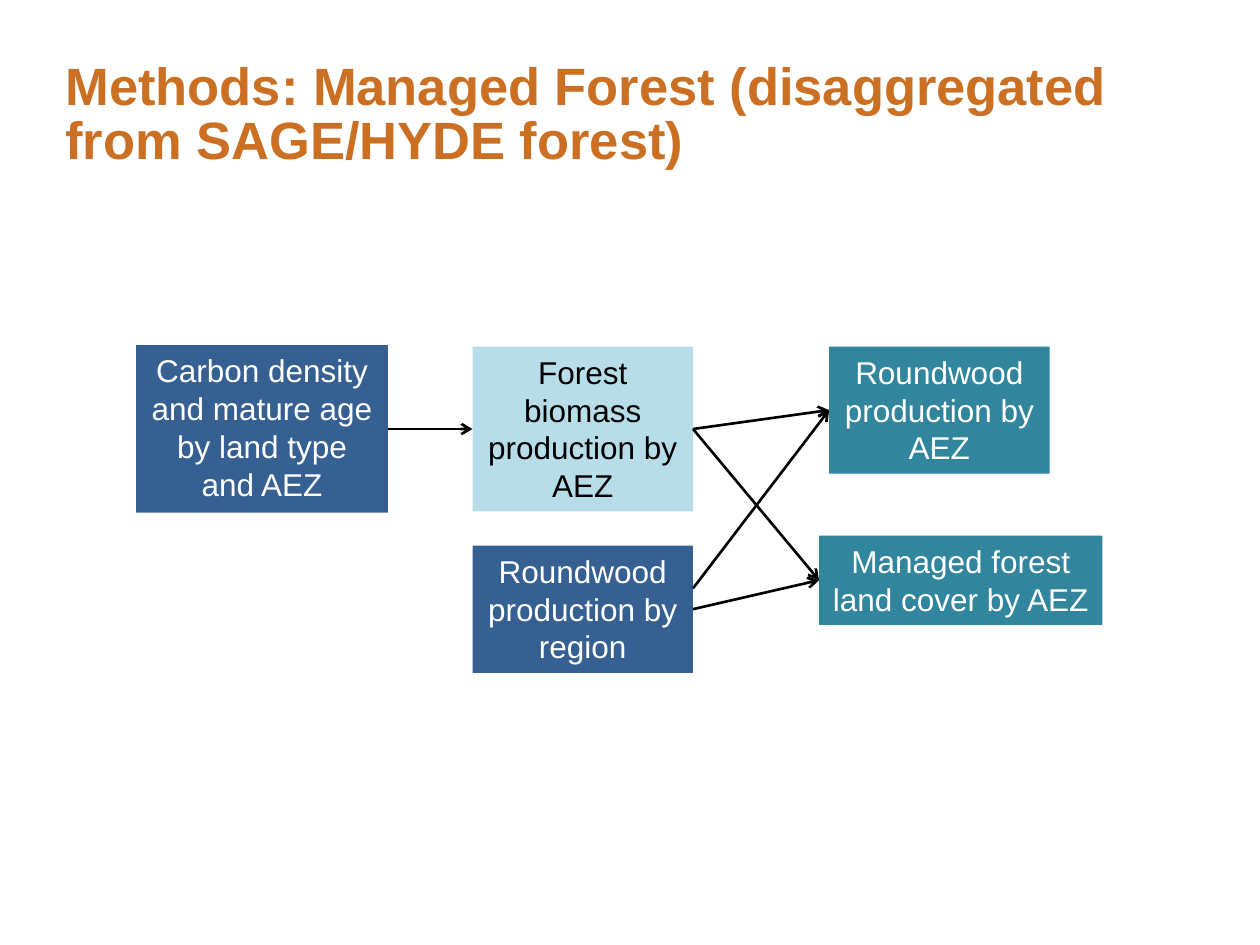
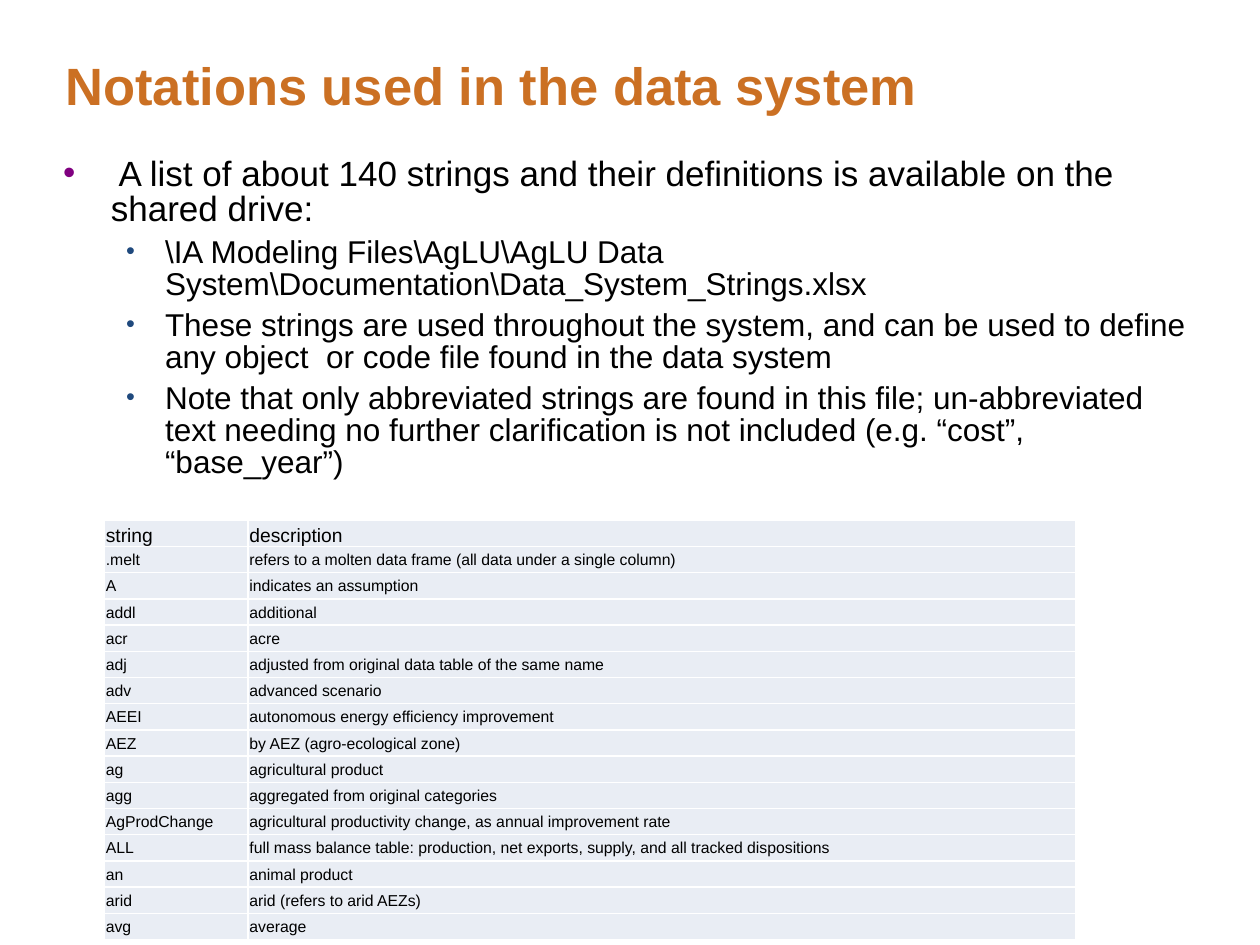
from typing import NamedTuple, Optional

from lxml import etree
from pptx import Presentation
from pptx import util as u
from pptx.dml.color import RGBColor
from pptx.enum import shapes, text
from pptx.oxml import ns

FONT = "Arial"
COLORS = {
    "title": "CB7023",
    "black": "000000",
    "white": "FFFFFF",
    "input": "376092",
    "interim": "B7DEE8",
    "output": "31859C",
    "cell": "E9EDF4",
    "bullet": "800080",
    "sub_bullet": "1F497D",
}
LEFT, RIGHT = 1, 3


class FlowBox(NamedTuple):
    label: str
    left: float
    top: float
    width: float
    height: float
    fill: str
    ink: str = "white"


class Arrow(NamedTuple):
    """Runs from the right side of one box to the left side of another."""
    source: str
    target: str
    start_y: Optional[float] = None


class BulletStyle(NamedTuple):
    size: float
    margin: float
    hanging: float
    color: str
    scale: int


FLOW_BOXES = {
    "carbon": FlowBox("Carbon density and mature age by land type and AEZ",
                      1.08, 2.74, 2, 1.33, "input"),
    "biomass": FlowBox("Forest biomass production by AEZ",
                       3.75, 2.75, 1.75, 1.31, "interim", "black"),
    "region": FlowBox("Roundwood production by region",
                      3.75, 4.33, 1.75, 1.01, "input"),
    "roundwood": FlowBox("Roundwood production by AEZ",
                         6.58, 2.75, 1.75, 1.01, "output"),
    "cover": FlowBox("Managed forest land cover by AEZ",
                     6.5, 4.25, 2.25, 0.71, "output"),
}
ARROWS = [
    Arrow("carbon", "biomass"),
    Arrow("biomass", "roundwood"),
    Arrow("biomass", "cover"),
    Arrow("region", "roundwood", start_y=4.67),
    Arrow("region", "cover"),
]

BULLET_STYLES = [
    BulletStyle(20, 0.38, 0.38, "bullet", 100),
    BulletStyle(18, 0.81, 0.31, "sub_bullet", 80),
]
BULLETS = [
    (0, " A list of about 140 strings and their definitions is available on the shared drive:"),
    (1, "\\IA Modeling Files\\AgLU\\AgLU Data System\\Documentation\\Data_System_Strings.xlsx"),
    (1, "These strings are used throughout the system, and can be used to define "
        "any object  or code file found in the data system"),
    (1, "Note that only abbreviated strings are found in this file; un-abbreviated text "
        "needing no further clarification is not included (e.g. “cost”, “base_year”)"),
]
NOTATIONS = [
    ("string", "description"),
    (".melt", "refers to a molten data frame (all data under a single column)"),
    ("A", "indicates an assumption"),
    ("addl", "additional"),
    ("acr", "acre"),
    ("adj", "adjusted from original data table of the same name"),
    ("adv", "advanced scenario"),
    ("AEEI", "autonomous energy efficiency improvement"),
    ("AEZ", "by AEZ (agro-ecological zone)"),
    ("ag", "agricultural product"),
    ("agg", "aggregated from original categories"),
    ("AgProdChange", "agricultural productivity change, as annual improvement rate"),
    ("ALL", "full mass balance table: production, net exports, supply, and all tracked dispositions"),
    ("an", "animal product"),
    ("arid", "arid (refers to arid AEZs)"),
    ("avg", "average"),
]


def rgb(name: str) -> RGBColor:
    return RGBColor.from_string(COLORS[name])


def add_child(parent, tag: str, **attributes: str):
    child = etree.SubElement(parent, ns.qn(tag))
    for key, value in attributes.items():
        child.set(key, value)
    return child


def add_span(para, words: str, size: float, color: str = "black", bold: bool = False) -> None:
    span = para.add_run()
    span.text = words
    span.font.name = FONT
    span.font.size = u.Pt(size)
    span.font.bold = bold
    span.font.color.rgb = rgb(color)


def add_text_frame(page, left: float, top: float, width: float, height: float):
    """Adds a wrapping text box without insets and returns its frame."""
    box = page.shapes.add_textbox(*map(u.Inches, (left, top, width, height)))
    frame = box.text_frame
    frame.word_wrap = True
    frame.margin_left = frame.margin_top = frame.margin_right = frame.margin_bottom = 0
    return frame


def add_titled_page(deck, title: str):
    page = deck.slides.add_slide(deck.slide_layouts[6])
    para = add_text_frame(page, 0.52, 0.5, 8.97, 1.08).paragraphs[0]
    para.line_spacing = 0.85
    add_span(para, title, 30, "title", bold=True)
    return page


def add_flow_box(page, item: FlowBox):
    box = page.shapes.add_shape(
        shapes.MSO_SHAPE.RECTANGLE,
        *map(u.Inches, (item.left, item.top, item.width, item.height)))
    box.shadow.inherit = False
    box.fill.solid()
    box.fill.fore_color.rgb = rgb(item.fill)
    box.line.fill.background()
    box.text_frame.word_wrap = True
    box.text_frame.vertical_anchor = text.MSO_ANCHOR.TOP
    para = box.text_frame.paragraphs[0]
    para.alignment = text.PP_ALIGN.CENTER
    add_span(para, item.label, 18, item.ink)
    return box


def add_arrow(page, boxes: dict, arrow: Arrow) -> None:
    source, target = boxes[arrow.source], boxes[arrow.target]
    start_y = (source.top + source.height // 2 if arrow.start_y is None
               else u.Inches(arrow.start_y))
    line = page.shapes.add_connector(
        shapes.MSO_CONNECTOR.STRAIGHT, source.left + source.width, start_y,
        target.left, target.top + target.height // 2)
    if arrow.start_y is None:
        line.begin_connect(source, RIGHT)
    line.end_connect(target, LEFT)
    line.line.color.rgb = rgb("black")
    line.line.width = u.Pt(1.5)
    add_child(line.line._get_or_add_ln(), "a:tailEnd", type="arrow")
    add_child(line._element.spPr, "a:effectLst")


def add_bullet(para, level: int, words: str) -> None:
    style = BULLET_STYLES[level]
    para.level = level
    para.line_spacing = 0.85
    para.space_before = u.Pt(5)
    properties = para._p.get_or_add_pPr()
    properties.set("marL", str(u.Inches(style.margin)))
    properties.set("indent", str(-u.Inches(style.hanging)))
    bullet_color = add_child(properties, "a:buClr")
    add_child(bullet_color, "a:srgbClr", val=COLORS[style.color])
    add_child(properties, "a:buSzPct", val=str(style.scale * 1000))
    add_child(properties, "a:buFont", typeface=FONT)
    add_child(properties, "a:buChar", char="•")
    add_span(para, words, style.size)


def fill_cell(cell, words: str, is_header: bool) -> None:
    cell.margin_left = cell.margin_right = cell.margin_top = u.Inches(0.01)
    cell.margin_bottom = 0
    cell.vertical_anchor = text.MSO_ANCHOR.BOTTOM if is_header else text.MSO_ANCHOR.MIDDLE
    properties = cell._tc.get_or_add_tcPr()
    for side in "LRTB":
        border = add_child(properties, f"a:ln{side}", w=str(u.Pt(1)))
        add_child(add_child(border, "a:solidFill"), "a:srgbClr", val=COLORS["white"])
    cell.fill.solid()
    cell.fill.fore_color.rgb = rgb("cell")
    add_span(cell.text_frame.paragraphs[0], words, 11 if is_header else 9)


def add_notation_table(page) -> None:
    widths, height = (1.14, 6.57), 3.33
    table = page.shapes.add_table(
        len(NOTATIONS), len(widths),
        *map(u.Inches, (0.83, 4.13, sum(widths), height))).table
    table.first_row = table.horz_banding = False
    for column, width in zip(table.columns, widths):
        column.width = u.Inches(width)
    for index, (row, entry) in enumerate(zip(table.rows, NOTATIONS)):
        row.height = u.Inches(height / len(NOTATIONS))
        for cell, words in zip(row.cells, entry):
            fill_cell(cell, words, index == 0)


def build_forest_page(deck) -> None:
    page = add_titled_page(deck, "Methods: Managed Forest (disaggregated from SAGE/HYDE forest)")
    boxes = {name: add_flow_box(page, item) for name, item in FLOW_BOXES.items()}
    for arrow in ARROWS:
        add_arrow(page, boxes, arrow)


def build_notation_page(deck) -> None:
    page = add_titled_page(deck, "Notations used in the data system")
    frame = add_text_frame(page, 0.5, 1.25, 8.95, 2.83)
    for index, (level, words) in enumerate(BULLETS):
        para = frame.add_paragraph() if index else frame.paragraphs[0]
        add_bullet(para, level, words)
    add_notation_table(page)


def main() -> None:
    deck = Presentation()
    deck.slide_width, deck.slide_height = u.Inches(10), u.Inches(7.5)
    build_forest_page(deck)
    build_notation_page(deck)
    deck.save("out.pptx")


if __name__ == "__main__":
    main()
